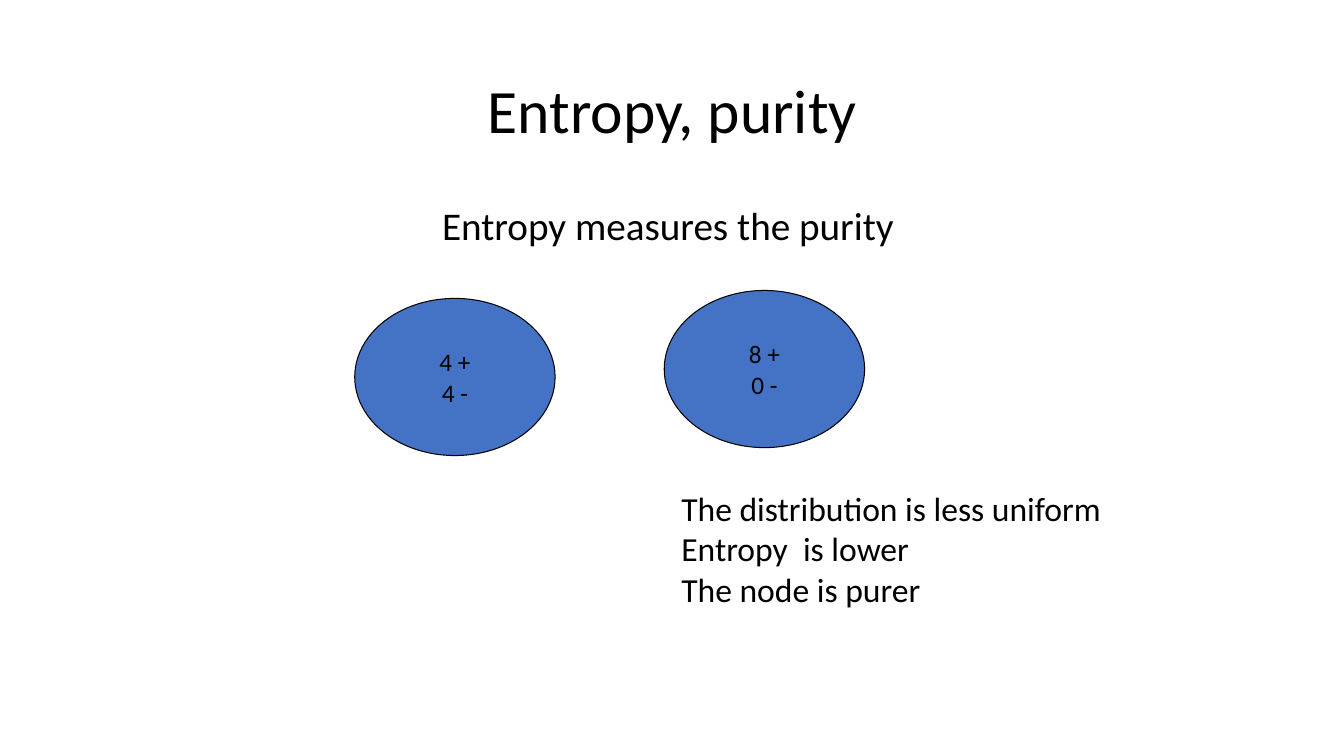
from lxml import etree
from pptx import Presentation
from pptx.dml.color import RGBColor
from pptx.enum.shapes import MSO_SHAPE
from pptx.enum.text import MSO_ANCHOR, MSO_AUTO_SIZE, PP_ALIGN
from pptx.oxml.ns import qn
from pptx.util import Cm, Pt

TITLE = ["Entropy, purity"]
STATEMENT = ["Entropy measures the purity "]
CONCLUSIONS = ["The distribution is less uniform", "Entropy  is lower", "The node is purer"]
NODES = [  # left, top, class counts
    (8.94, 7.52, ["4 +", "4 -"]),
    (16.74, 7.32, ["8 +", "0 -"]),
]
NODE_SIZE = (5.05, 3.96)
TITLE_BOX = (2.34, 1.02, 29.21, 3.68)
BODY_BOX = (2.34, 5.08, 29.21, 12.09)
CONCLUSION_BOX = (16.92, 12.17, 11.2, 3.33)
BLACK, BLUE = "000000", "4472C4"


def color(value):
    return RGBColor.from_string(value)


def place(shape, box):
    for name, value in zip(("left", "top", "width", "height"), box):
        setattr(shape, name, Cm(value))


def write(shape, lines, size, frame, **paragraph):
    """Fill the shape with one paragraph per line and apply the format values."""
    tf = shape.text_frame
    for name, value in frame.items():
        setattr(tf, name, value)
    for i, line in enumerate(lines):
        p = tf.paragraphs[0] if i == 0 else tf.add_paragraph()
        for name, value in paragraph.items():
            setattr(p, name, value)
        r = p.add_run()
        r.text = line
        r.font.name, r.font.size = "Calibri", Pt(size)
        r.font.color.rgb = color(BLACK)


def remove_bullets(shape):
    for p in shape.text_frame.paragraphs:
        pPr = p._p.get_or_add_pPr()
        pPr.set("marL", "0")
        pPr.set("indent", "0")
        etree.SubElement(pPr, qn("a:buNone"))


def add_node(s, left, top, counts):
    node = s.shapes.add_shape(MSO_SHAPE.OVAL, *map(Cm, (left, top, *NODE_SIZE)))
    node.shadow.inherit = False
    node.fill.solid()
    node.fill.fore_color.rgb = color(BLUE)
    node.line.color.rgb = color(BLACK)
    node.line.width = Pt(0.75)
    write(node, counts, 18, {"vertical_anchor": MSO_ANCHOR.MIDDLE, "word_wrap": False},
          alignment=PP_ALIGN.CENTER)


def main():
    prs = Presentation()
    prs.slide_width, prs.slide_height = Cm(33.87), Cm(19.05)
    s = prs.slides.add_slide(prs.slide_layouts[1])
    title, body = s.placeholders

    place(title, TITLE_BOX)
    write(title, TITLE, 44, {"vertical_anchor": MSO_ANCHOR.MIDDLE},
          alignment=PP_ALIGN.CENTER, line_spacing=0.9)

    place(body, BODY_BOX)
    write(body, STATEMENT, 28, {"vertical_anchor": MSO_ANCHOR.TOP},
          alignment=PP_ALIGN.CENTER, line_spacing=0.9, space_before=Pt(10))
    remove_bullets(body)

    for node in NODES:
        add_node(s, *node)

    conclusion = s.shapes.add_textbox(*map(Cm, CONCLUSION_BOX))
    write(conclusion, CONCLUSIONS, 24,
          {"word_wrap": False, "auto_size": MSO_AUTO_SIZE.SHAPE_TO_FIT_TEXT},
          alignment=PP_ALIGN.LEFT)

    prs.save("out.pptx")


if __name__ == "__main__":
    main()
